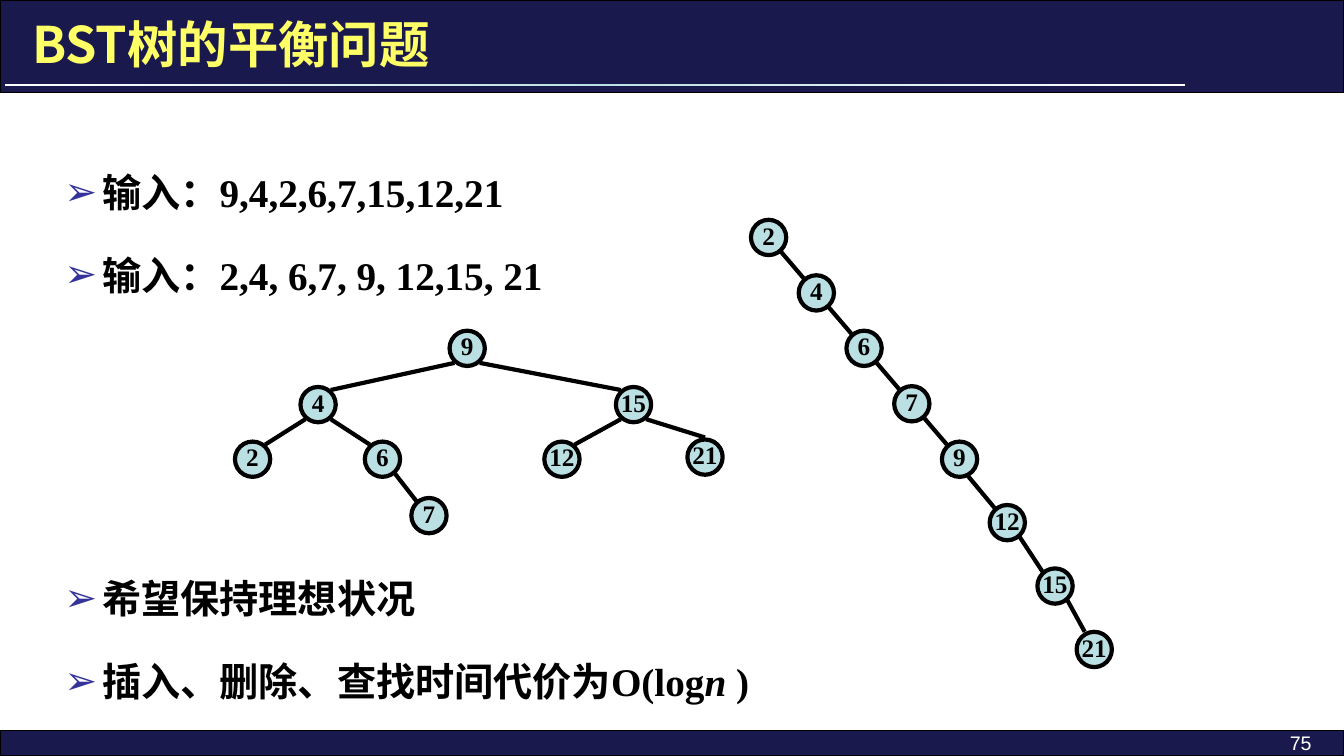
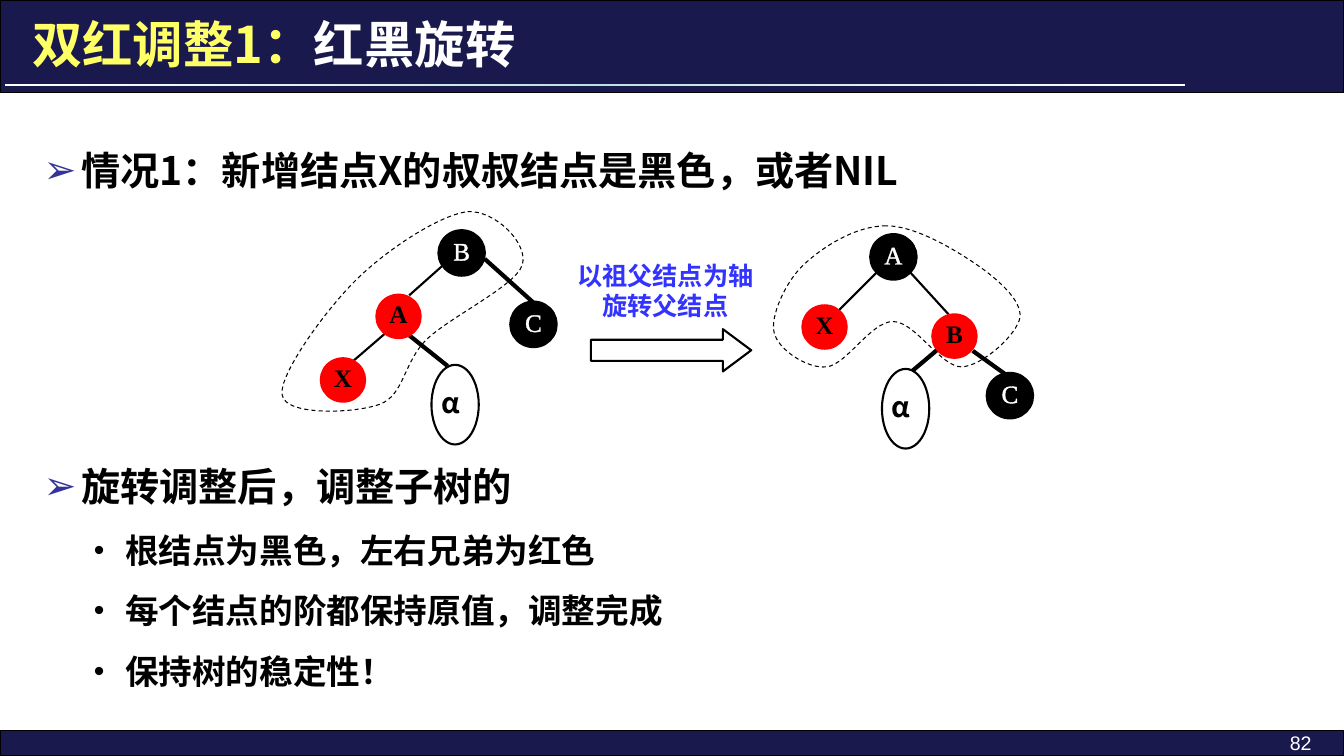
from copy import deepcopy
from itertools import accumulate, chain, pairwise

from lxml.etree import Element, SubElement
from pptx import Presentation
from pptx.dml.color import RGBColor
from pptx.enum.dml import MSO_LINE
from pptx.enum.shapes import MSO_CONNECTOR, MSO_SHAPE
from pptx.enum.text import MSO_ANCHOR, MSO_AUTO_SIZE, PP_ALIGN
from pptx.oxml.ns import qn
from pptx.util import Pt

COLOURS = {
    "navy": "19194D", "black": "000000", "white": "FFFFFF", "yellow": "FFFF66",
    "tint": "BBE0E3", "bullet": "333399", "blue": "3333FF", "red": "FF0000",
}
SANS, SERIF, PLAIN = "Noto Sans CJK SC", "Times New Roman", "Arial"
WIDTH, HEIGHT = 960, 540
BULLETS = {  # level: (character, text indent, hanging, size, space before)
    0: ("➢", 27, 27, 28, 8.4),
    1: ("•", 58.3, 22.3, 24, 0),
}
EDGE_JOIN = (9, 10.4, 9, 10.4)  # offsets at the parent, then at the child


def rgb(name):
    return RGBColor.from_string(COLOURS[name])


def points(*lengths):
    return [Pt(length) for length in lengths]


# Text
def format_run(run, size, font=SANS, colour="black", bold=True, italic=False):
    run.font.size = Pt(size)
    run.font.name = font
    run.font.bold = bold
    run.font.italic = italic
    run.font.color.rgb = rgb(colour)
    SubElement(run.font._element, qn("a:ea")).set("typeface", SANS)


def outline_run(run, colour, weight):
    line = Element(qn("a:ln"), w=str(Pt(weight)))
    fill = SubElement(line, qn("a:solidFill"))
    SubElement(fill, qn("a:srgbClr")).set("val", COLOURS[colour])
    run.font._element.insert(0, line)


def add_text(slide, box, text, size, align, **style):
    frame = slide.shapes.add_textbox(*points(*box)).text_frame
    frame.word_wrap = True
    frame.text = text
    frame.paragraphs[0].alignment = align
    format_run(frame.paragraphs[0].runs[0], size, **style)


def add_bullets(slide, box, items, font):
    """Each item is a level and its runs; a run is a text and whether it is italic."""
    frame = slide.shapes.add_textbox(*points(*box)).text_frame
    frame.word_wrap = True
    for index, (level, runs) in enumerate(items):
        paragraph = frame.add_paragraph() if index else frame.paragraphs[0]
        char, indent, hanging, size, space_before = BULLETS[level]
        properties = paragraph._p.get_or_add_pPr()
        properties.set("marL", str(Pt(indent)))
        properties.set("indent", str(-Pt(hanging)))
        if level == 0:
            bullet_colour = SubElement(properties, qn("a:buClr"))
            SubElement(bullet_colour, qn("a:srgbClr")).set("val", COLOURS["bullet"])
        else:
            SubElement(properties, qn("a:buSzPct")).set("val", "90000")
        SubElement(properties, qn("a:buFont")).set("typeface", PLAIN)
        SubElement(properties, qn("a:buChar")).set("char", char)
        paragraph.line_spacing = 1.5
        if index:
            paragraph.space_before = Pt(space_before)
        for text, italic in runs:
            run = paragraph.add_run()
            run.text = text
            format_run(run, size, font, italic=italic)
    return frame


# Shapes
def style_shape(shape, fill=None, line=None, weight=0.75):
    shape.shadow.inherit = False
    if fill:
        shape.fill.solid()
        shape.fill.fore_color.rgb = rgb(fill)
    else:
        shape.fill.background()
    if line:
        shape.line.color.rgb = rgb(line)
        shape.line.width = Pt(weight)
    else:
        shape.line.fill.background()


def add_shape(slide, kind, box, **style):
    shape = slide.shapes.add_shape(kind, *points(*box))
    style_shape(shape, **style)
    return shape


def add_edge(slide, start, end, weight):
    edge = slide.shapes.add_connector(MSO_CONNECTOR.STRAIGHT, *points(*start, *end))
    edge.line.color.rgb = rgb("black")
    edge.line.width = Pt(weight)
    SubElement(edge._element.spPr, qn("a:effectLst"))


def add_node(slide, label, centre, size, fill, line="black", weight=3,
             colour="black", bold=True, text_outline=0):
    (x, y), (width, height) = centre, size
    node = add_shape(slide, MSO_SHAPE.OVAL, (x - width / 2, y - height / 2, width, height),
                     fill=fill, line=line, weight=weight)
    frame = node.text_frame
    frame.margin_left = frame.margin_right = frame.margin_top = 0
    frame.margin_bottom = Pt(3.6)
    frame.word_wrap = False
    frame.vertical_anchor = MSO_ANCHOR.MIDDLE
    frame.text = label
    frame.paragraphs[0].alignment = PP_ALIGN.CENTER
    run = frame.paragraphs[0].runs[0]
    format_run(run, 18, SERIF, colour, bold)
    if text_outline:
        outline_run(run, colour, text_outline)


def add_tree(slide, centres, edges, joins):
    """Edges leave a parent's lower corner and reach the child's upper corner."""
    for parent, child in edges:
        (x1, y1), (x2, y2) = centres[parent], centres[child]
        dx1, dy1, dx2, dy2 = joins.get((parent, child), EDGE_JOIN)
        side = 1 if x2 > x1 else -1
        add_edge(slide, (x1 + side * dx1, y1 + dy1), (x2 - side * dx2, y2 - dy2), 3)
    for label, centre in centres.items():
        add_node(slide, label, centre, (25.2, 25.2), "tint")


def add_dashed_outline(slide, start, curves):
    """Draw a closed outline of cubic curves, each two controls and an end."""
    builder = slide.shapes.build_freeform(*points(*start))
    builder.add_line_segments([points(*point) for point in chain(*curves)], close=True)
    shape = builder.convert_to_shape()
    segments = list(shape._element.iter(qn("a:lnTo")))
    for first in range(0, 3 * len(curves), 3):
        curve = Element(qn("a:cubicBezTo"))
        segments[first].addprevious(curve)
        for segment in segments[first:first + 3]:
            curve.append(segment[0])
            segment.getparent().remove(segment)
    style_shape(shape, line="black")
    shape.line.dash_style = MSO_LINE.DASH


# Shared frame: bands, rule, title and page number
def new_slide(deck, title_runs, page):
    slide = deck.slides.add_slide(deck.slide_layouts[5])
    for top, height in ((522, 18), (0, 66.2)):
        add_shape(slide, MSO_SHAPE.RECTANGLE, (0, top, WIDTH, height),
                  fill="navy", line="black")
    rule = add_shape(slide, MSO_SHAPE.RECTANGLE, (3.6, 60, 843, 1.4))
    rule.fill.gradient()
    rule.fill.gradient_angle = 0
    stops = rule._element.spPr.find(".//" + qn("a:gsLst"))
    stops.insert(1, deepcopy(stops[0]))
    for stop, position, colour in zip(rule.fill.gradient_stops, (0, 0.5, 1),
                                      ("white", "tint", "white")):
        stop.position = position
        stop.color.rgb = rgb(colour)

    title = slide.shapes.title
    slide.shapes._spTree.append(title._element)
    title.left, title.top, title.width, title.height = points(15.8, 5.8, 831.6, 50.4)
    frame = title.text_frame
    frame.auto_size = MSO_AUTO_SIZE.NONE
    frame.word_wrap = True
    frame.vertical_anchor = MSO_ANCHOR.MIDDLE
    frame.paragraphs[0].alignment = PP_ALIGN.LEFT
    for text, colour in title_runs:
        run = frame.paragraphs[0].add_run()
        run.text = text
        format_run(run, 36, colour=colour)
    add_text(slide, (800, 518.4, 144, 18), page, 14, PP_ALIGN.RIGHT,
             font=PLAIN, colour="white", bold=False)
    return slide


def balance_slide(deck):
    slide = new_slide(deck, [("BST树的平衡问题", "yellow")], "75")
    add_bullets(slide, (38.9, 100.1, 771, 324), [
        (0, [("输入：9,4,2,6,7,15,12,21", False)]),
        (0, [("输入：2,4, 6,7, 9, 12,15, 21", False)]),
    ], SERIF)
    # Balanced tree
    balanced = {
        "9": (333.7, 248.8), "4": (227.2, 289), "15": (452.5, 289),
        "2": (180.4, 328), "6": (273.2, 328), "12": (401.4, 328),
        "21": (503.6, 326.5), "7": (306.4, 368.3),
    }
    add_tree(slide, balanced, [("9", "4"), ("9", "15"), ("4", "2"), ("4", "6"),
                               ("15", "12"), ("15", "21"), ("6", "7")],
             {("15", "21"): (9, 10.4, 0, 14)})
    # Degenerate chain
    keys = ["2", "4", "6", "7", "9", "12", "15", "21"]
    xs = accumulate([34.1] * 6 + [28], initial=549)
    ys = accumulate([39.6] * 4 + [45.3] * 3, initial=169.6)
    add_tree(slide, dict(zip(keys, zip(xs, ys))), pairwise(keys),
             {("9", "12"): (4.7, 10.4, 9, 10.4), ("15", "21"): (9, 10.4, 6.8, 12.6)})
    add_bullets(slide, (38.9, 390.2, 753, 120), [
        (0, [("希望保持理想状况", False)]),
        (0, [("插入、删除、查找时间代价为O(log", False), ("n", True), (" )", False)]),
    ], SERIF)


def rotation_slide(deck):
    slide = new_slide(deck, [("双红调整1：", "yellow"), ("红黑旋转", "white")], "82")
    body = add_bullets(slide, (24, 84.2, 912, 420), [
        (0, [("情况1：新增结点X的叔叔结点是黑色，或者NIL", False)]),
        (0, [("旋转调整后，调整子树的", False)]),
        (1, [("根结点为黑色，左右兄弟为红色", False)]),
        (1, [("每个结点的阶都保持原值，调整完成", False)]),
        (1, [("保持树的稳定性！", False)]),
    ], SANS)
    body.paragraphs[1].space_before = Pt(175.2)  # room for the diagram
    # Edges before and after the rotation
    edges = {
        1.5: [((319, 187.2), (292.3, 211)), ((275.8, 237.6), (249.1, 260.6)),
              ((627.1, 193.7), (599, 221.8)), ((649.4, 193.7), (679, 226.1))],
        3: [((346.3, 185), (381.6, 216.7)), ((291.6, 239), (319.7, 261.4)),
            ((669.6, 249.8), (651.6, 265)), ((694.8, 250.6), (717.8, 267.1))],
    }
    for weight, ends in edges.items():
        for start, end in ends:
            add_edge(slide, start, end, weight)
    # Red and black nodes
    red = dict(fill="red", line="red", weight=1.5, text_outline=0.71)
    black = dict(fill="black", colour="white", bold=False, text_outline=1.45)
    nodes = [
        ("B", (329.8, 180.7), black), ("A", (284.7, 226), red),
        ("X", (245, 271.4), red), ("C", (381.1, 231.7), black),
        ("A", (638.2, 183.5), black), ("X", (589, 233.6), red),
        ("B", (681.8, 240.1), red), ("C", (721.4, 282.6), black),
    ]
    for label, centre, style in nodes:
        add_node(slide, label, centre, (31.7, 31), **style)
    # Subtree α
    for left, top in ((308.2, 260.6), (630, 263.5)):
        add_shape(slide, MSO_SHAPE.OVAL, (left, top, 33.8, 56.9), line="black", weight=1.5)
        add_text(slide, (left, top + 11.5, 26.6, 23), "α", 20, PP_ALIGN.JUSTIFY)
    # Outlines around the three adjusted nodes
    add_dashed_outline(slide, (334, 151.2), [
        ((353.5, 149.8), (378, 174.2), (373, 189.4)),
        ((367.9, 204.5), (321.8, 226.1), (304.6, 242.6)),
        ((288, 259.2), (288.7, 282.2), (271.4, 288.7)),
        ((254.2, 295.2), (203.8, 297.4), (201.6, 282.2)),
        ((198.7, 267.8), (233.3, 220.3), (255.6, 198.7)),
        ((277.9, 177.1), (314.6, 153.4), (334, 151.2)),
    ])
    add_dashed_outline(slide, (632.9, 161.3), [
        ((611.3, 161.3), (587.5, 176.4), (573.8, 189.4)),
        ((560.9, 201.6), (550.1, 226.1), (553, 237.6)),
        ((555.8, 249.8), (576.7, 263.5), (590.4, 262.1)),
        ((604.8, 260.6), (622.1, 229.7), (637.9, 229.7)),
        ((653.8, 229.7), (671.8, 262.1), (686.9, 262.1)),
        ((702, 261.4), (726.5, 239), (728.6, 226.8)),
        ((730.1, 214.6), (712.8, 199.4), (697, 188.6)),
        ((681.1, 177.8), (653.8, 161.3), (632.9, 161.3)),
    ])
    # Rotation arrow and its label
    arrow = add_shape(slide, MSO_SHAPE.RIGHT_ARROW, (422.1, 235.1, 114.5, 30.2),
                      line="black", weight=1.5)
    arrow.adjustments[0], arrow.adjustments[1] = 0.5, 0.67
    add_text(slide, (401.8, 182.2, 146.9, 51.8), "以祖父结点为轴旋转父结点", 18,
             PP_ALIGN.CENTER, colour="blue")


def main():
    deck = Presentation()
    deck.slide_width, deck.slide_height = points(WIDTH, HEIGHT)
    balance_slide(deck)
    rotation_slide(deck)
    deck.save("out.pptx")


if __name__ == "__main__":
    main()
